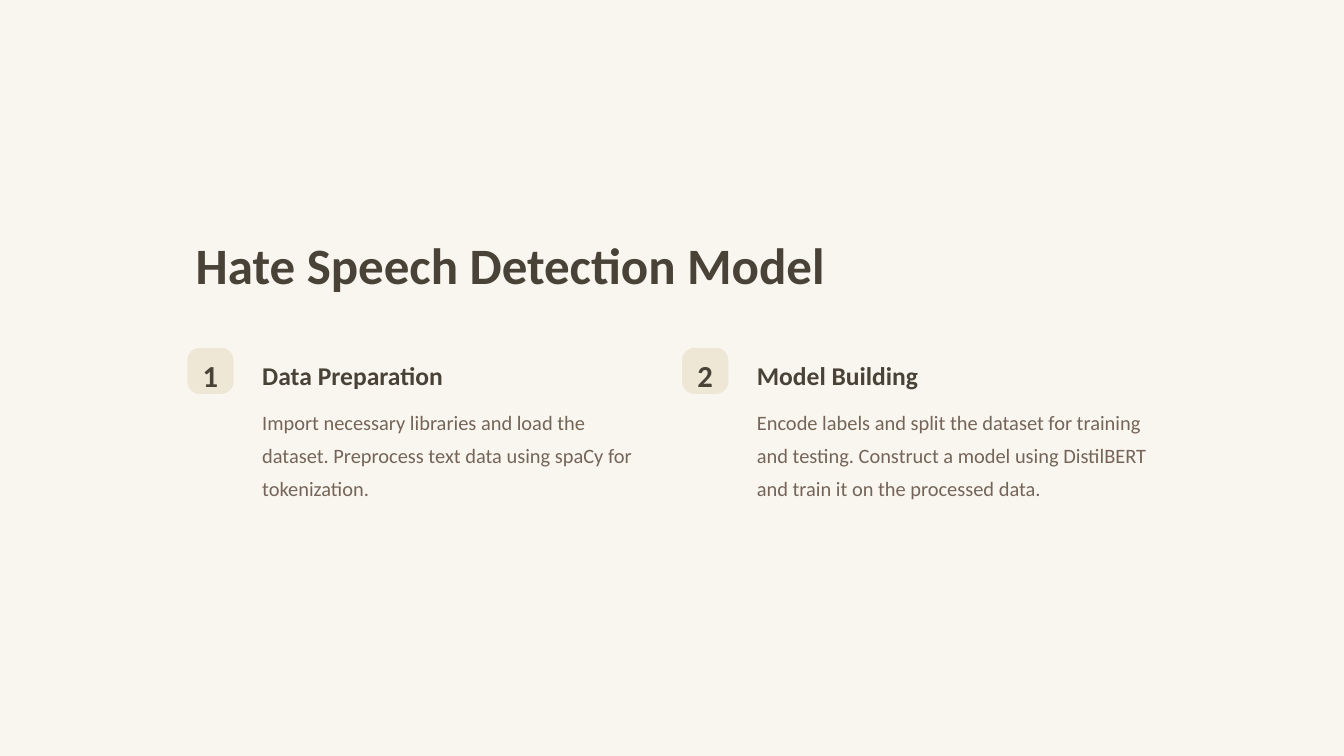
"""Builds the slide about the two steps of a hate speech detection model."""
from dataclasses import dataclass

from pptx import Presentation
from pptx import util as u
from pptx.dml.color import RGBColor
from pptx.enum import shapes, text
from pptx.oxml.xmlchemy import OxmlElement

PAPER, SAND, INK, BROWN = "F9F6F0", "EFE7D6", "484237", "746558"
WIDTH, HEIGHT = u.Inches(16), u.Inches(9)
LEFT, PITCH, INDENT = 13.94, 36.81, 4.94


@dataclass(frozen=True)
class Box:
    """A place on the slide in percent of its width and height."""
    left: float
    top: float
    width: float
    height: float

    def lengths(self) -> tuple[int, int, int, int]:
        """Return left, top, width and height as slide lengths."""
        return (int(WIDTH * self.left / 100), int(HEIGHT * self.top / 100),
                int(WIDTH * self.width / 100), int(HEIGHT * self.height / 100))


@dataclass(frozen=True)
class Style:
    """Size and line spacing in points, with colour and weight."""
    size: float
    spacing: float
    colour: str = INK
    bold: bool = True


@dataclass(frozen=True)
class Step:
    """One numbered step and the height of its description."""
    heading: str
    body: str
    body_height: float


TITLE = Style(43.7, 54.7)
NUMBER = Style(26.2, 32.8)
HEADING = Style(21.9, 27.3)
BODY = Style(17.5, 28, BROWN, False)

STEPS = [
    Step("Data Preparation",
         "Import necessary libraries and load the dataset. "
         "Preprocess text data using spaCy for tokenization.", 13),
    Step("Model Building",
         "Encode labels and split the dataset for training and testing. "
         "Construct a model using DistilBERT and train it on the processed data.", 17.22),
]


def paint(fill, colour: str) -> None:
    """Give a fill one solid colour."""
    fill.solid()
    fill.fore_color.rgb = RGBColor.from_string(colour)


def write(shape, box: Box, words: str, style: Style,
          alignment=text.PP_ALIGN.LEFT) -> None:
    """Place a text shape and write one plain paragraph into it."""
    shape.left, shape.top, shape.width, shape.height = box.lengths()
    frame = shape.text_frame
    frame.word_wrap = True
    frame.auto_size = text.MSO_AUTO_SIZE.NONE
    frame.vertical_anchor = text.MSO_ANCHOR.TOP
    paragraph = frame.paragraphs[0]
    paragraph.alignment = alignment
    paragraph.line_spacing = u.Pt(style.spacing)
    paragraph.space_before = u.Pt(0)
    properties = paragraph._p.get_or_add_pPr()
    properties.set("marL", "0")
    properties.set("indent", "0")
    properties.append(OxmlElement("a:buNone"))
    run = paragraph.add_run()
    run.text = words
    run.font.name = "Calibri"
    run.font.size = u.Pt(style.size)
    run.font.bold = style.bold
    paint(run.font.fill, style.colour)


def draw_step(slide, index: int, step: Step) -> None:
    """Draw the badge, number, heading and description of one step."""
    left = LEFT + index * PITCH
    badge = slide.shapes.add_shape(shapes.MSO_SHAPE.ROUNDED_RECTANGLE,
                                   *Box(left, 46, 3.44, 6.11).lengths())
    badge.adjustments[0] = 0.27
    badge.shadow.inherit = False
    badge.line.fill.background()
    paint(badge.fill, SAND)

    number_box = Box(left, 46.44, 3.44, 5.11)
    number = slide.shapes.add_textbox(*number_box.lengths())
    write(number, number_box, str(index + 1), NUMBER, text.PP_ALIGN.CENTER)

    heading, body = (slide.placeholders[2 * index + offset] for offset in (1, 2))
    write(heading, Box(left + INDENT, 46.89, 19, 4.22), step.heading, HEADING)
    write(body, Box(left + INDENT, 52.67, 30.38, step.body_height), step.body, BODY)


def main() -> None:
    """Build and save the presentation."""
    presentation = Presentation()
    presentation.slide_width, presentation.slide_height = WIDTH, HEIGHT
    comparison = presentation.slide_layouts.get_by_name("Comparison")
    slide = presentation.slides.add_slide(comparison)
    paint(slide.background.fill, PAPER)
    write(slide.shapes.title, Box(LEFT, 30, 55.06, 8.44),
          "Hate Speech Detection Model", TITLE)
    for index, step in enumerate(STEPS):
        draw_step(slide, index, step)
    presentation.save("out.pptx")


if __name__ == "__main__":
    main()
